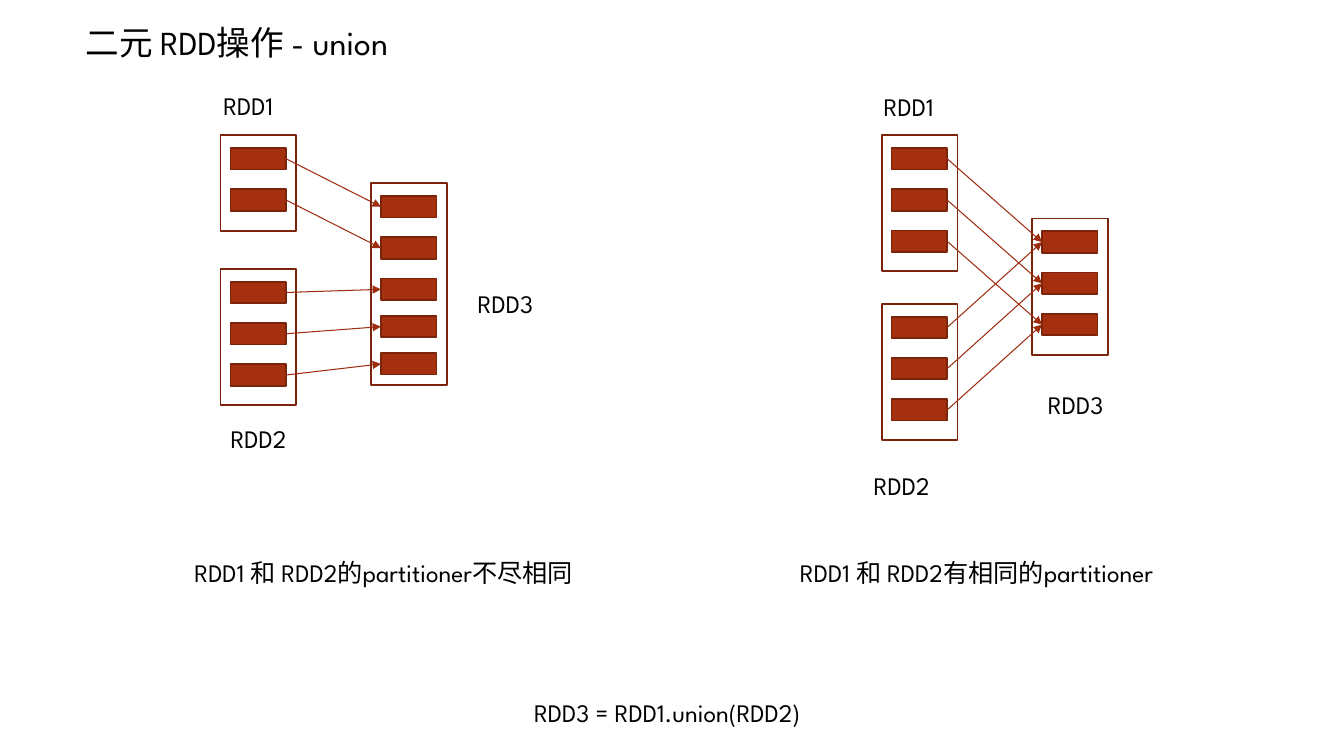
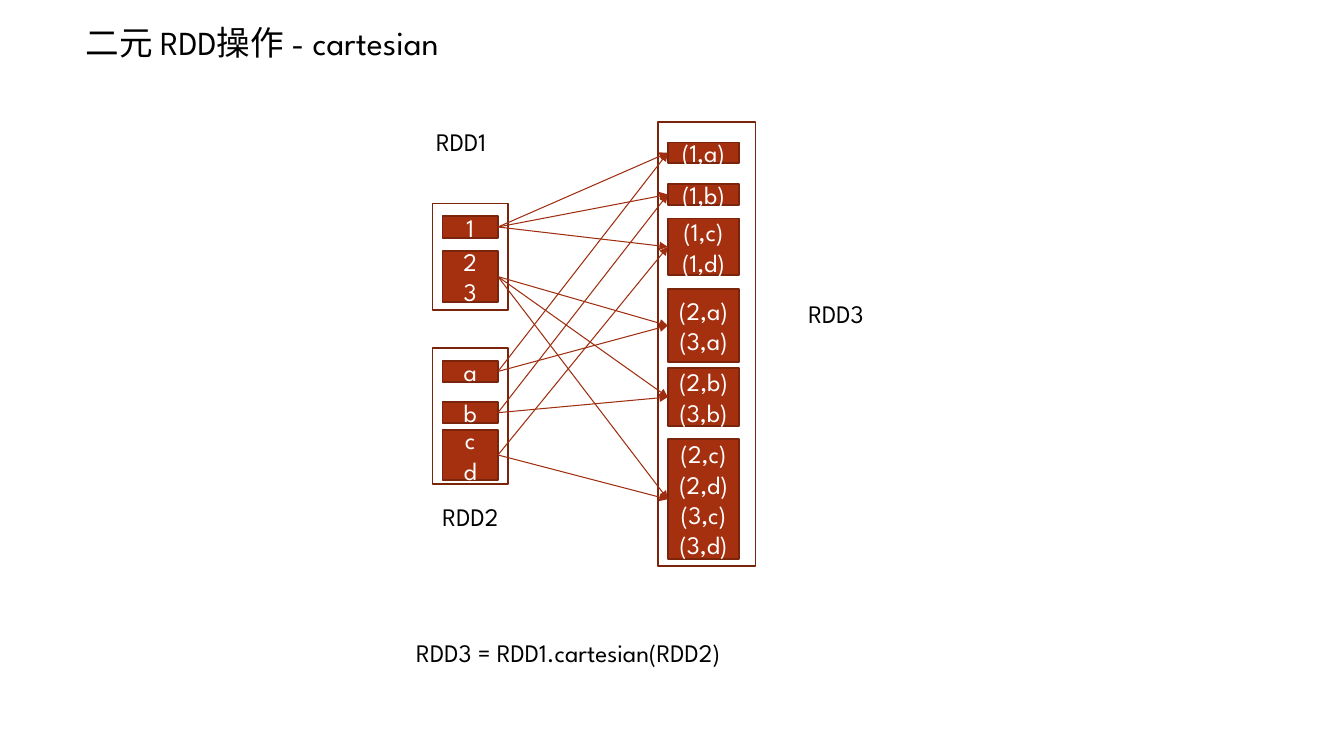
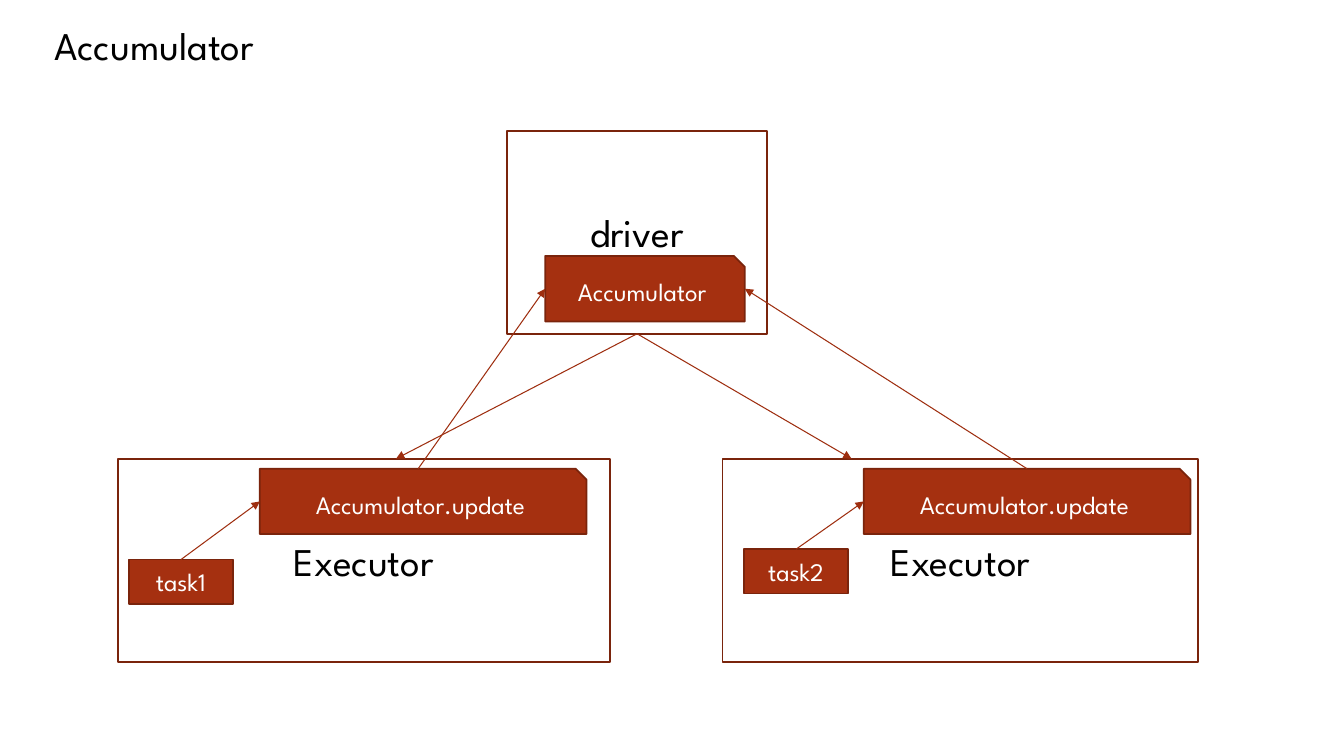
from dataclasses import dataclass

import lxml.etree
import pptx
import pptx.dml.color
import pptx.enum.shapes
import pptx.enum.text
import pptx.oxml.ns
import pptx.shapes.autoshape
import pptx.shapes.connector
import pptx.slide
import pptx.text.text
import pptx.util
from pptx.util import Cm

FONT = "League Spartan"
BLACK, WHITE = "000000", "FFFFFF"
RUST, EDGE, ARROW = "A53010", "7A240C", "9E2E0F"
RECTANGLE = pptx.enum.shapes.MSO_SHAPE.RECTANGLE
SNIPPED = pptx.enum.shapes.MSO_SHAPE.SNIP_1_RECTANGLE
LEFT_SITE, RIGHT_SITE = 1, 3
BLOCK_HEIGHT, BLOCK_PITCH, BLOCK_INSET, FIRST_BLOCK = 0.54, 1.04, 0.25, 0.32
TITLE_ONLY_LAYOUT = 5

Slide = pptx.slide.Slide
Shape = pptx.shapes.autoshape.Shape
Point = tuple[int, int]


@dataclass(frozen=True)
class Block:
    """One partition; offset runs from the top of its RDD frame, in cm."""
    offset: float
    height: float = BLOCK_HEIGHT
    lines: tuple[str, ...] = ()


@dataclass(frozen=True)
class Label:
    text: str
    left: float
    top: float
    width: float = 2.21


@dataclass(frozen=True)
class Rdd:
    left: float
    top: float
    height: float
    blocks: tuple[Block, ...]
    label: Label
    width: float = 1.91
    block_width: float = 1.4


@dataclass(frozen=True)
class Executor:
    left: float
    width: float
    update_left: float
    task: str
    task_left: float
    task_top: float
    broadcast_x: float
    report_x: float


def colour(value: str) -> pptx.dml.color.RGBColor:
    return pptx.dml.color.RGBColor.from_string(value)


def write_lines(frame: pptx.text.text.TextFrame, lines: tuple[str, ...], size: int,
                text_colour: str, centred: bool = False) -> None:
    alignment = pptx.enum.text.PP_ALIGN
    for index, line in enumerate(lines):
        paragraph = frame.add_paragraph() if index else frame.paragraphs[0]
        paragraph.alignment = alignment.CENTER if centred else alignment.LEFT
        run = paragraph.add_run()
        run.text = line
        run.font.name = FONT
        run.font.size = pptx.util.Pt(size)
        run.font.color.rgb = colour(text_colour)


def add_titled_slide(presentation, title: str, left: float = 1.9, top: float = 0.43,
                     width: float = 11.96, height: float = 1.27, size: int = 24) -> Slide:
    slide = presentation.slides.add_slide(presentation.slide_layouts[TITLE_ONLY_LAYOUT])
    shape = slide.shapes.title
    shape.left, shape.top, shape.width, shape.height = map(Cm, (left, top, width, height))
    shape.text_frame.vertical_anchor = pptx.enum.text.MSO_ANCHOR.TOP
    shape.text_frame.auto_size = pptx.enum.text.MSO_AUTO_SIZE.NONE
    write_lines(shape.text_frame, (title,), size, BLACK)
    return slide


def draw_label(slide: Slide, label: Label) -> None:
    box = slide.shapes.add_textbox(Cm(label.left), Cm(label.top), Cm(label.width), Cm(1.02))
    box.text_frame.word_wrap = False
    box.text_frame.auto_size = pptx.enum.text.MSO_AUTO_SIZE.SHAPE_TO_FIT_TEXT
    write_lines(box.text_frame, (label.text,), 18, BLACK)


def draw_box(slide: Slide, left: float, top: float, width: float, height: float,
             lines: tuple[str, ...] = (), filled: bool = True, outline=RECTANGLE) -> Shape:
    """Draw a rust block with small white text, or an open frame with large black text."""
    shape = slide.shapes.add_shape(outline, Cm(left), Cm(top), Cm(width), Cm(height))
    shape.shadow.inherit = False
    if filled:
        shape.fill.solid()
        shape.fill.fore_color.rgb = colour(RUST)
    else:
        shape.fill.background()
    shape.line.color.rgb = colour(EDGE)
    shape.line.width = pptx.util.Pt(1.25)
    shape.text_frame.vertical_anchor = pptx.enum.text.MSO_ANCHOR.MIDDLE
    write_lines(shape.text_frame, lines, 18 if filled else 28,
                WHITE if filled else BLACK, centred=True)
    return shape


def point_on(shape: Shape, across: float, down: float) -> Point:
    """Return the point at the given fractions of the shape's width and height."""
    return (int(shape.left + shape.width * across), int(shape.top + shape.height * down))


def draw_arrow(slide: Slide, start: Point, end: Point) -> pptx.shapes.connector.Connector:
    connector = slide.shapes.add_connector(
        pptx.enum.shapes.MSO_CONNECTOR.STRAIGHT, *start, *end)
    connector.line.color.rgb = colour(ARROW)
    connector.line.width = pptx.util.Pt(0.75)
    qualified = pptx.oxml.ns.qn
    line = connector.line._get_or_add_ln()
    lxml.etree.SubElement(line, qualified("a:tailEnd"), type="triangle")
    lxml.etree.SubElement(connector._element.spPr, qualified("a:effectLst"))
    return connector


def link_blocks(slide: Slide, source: Shape, target: Shape) -> None:
    connector = draw_arrow(slide, point_on(source, 1, 0.5), point_on(target, 0, 0.5))
    connector.begin_connect(source, RIGHT_SITE)
    connector.end_connect(target, LEFT_SITE)


def draw_rdd(slide: Slide, rdd: Rdd) -> list[Shape]:
    draw_box(slide, rdd.left, rdd.top, rdd.width, rdd.height, filled=False)
    draw_label(slide, rdd.label)
    return [draw_box(slide, rdd.left + BLOCK_INSET, rdd.top + block.offset,
                     rdd.block_width, block.height, block.lines)
            for block in rdd.blocks]


def draw_operation(slide: Slide, rdds: tuple[Rdd, Rdd, Rdd],
                   links: list[tuple[int, int]]) -> None:
    """Draw two sources and a result; links number the source blocks of both in one row."""
    first, second, results = (draw_rdd(slide, rdd) for rdd in rdds)
    sources = first + second
    for source, target in links:
        link_blocks(slide, sources[source], results[target])


def even_blocks(count: int) -> tuple[Block, ...]:
    return tuple(Block(FIRST_BLOCK + BLOCK_PITCH * index) for index in range(count))


def build_union(presentation) -> None:
    slide = add_titled_slide(presentation, "二元 RDD操作 - union")
    three = even_blocks(3)
    different = (
        Rdd(5.56, 3.41, 2.42, even_blocks(2), Label("RDD1", 5.38, 2.16)),
        Rdd(5.56, 6.78, 3.43, three, Label("RDD2", 5.56, 10.54)),
        Rdd(9.35, 4.62, 5.08, three + (Block(3.34), Block(4.28)),
            Label("RDD3", 11.79, 7.14)),
    )
    same = (
        Rdd(22.22, 3.41, 3.43, three, Label("RDD1", 22.02, 2.18)),
        Rdd(22.22, 7.66, 3.43, three, Label("RDD2", 21.77, 11.73)),
        Rdd(26.01, 5.51, 3.43, three, Label("RDD3", 26.16, 9.68)),
    )
    draw_operation(slide, different, [(index, index) for index in range(5)])
    draw_operation(slide, same, [(index, index % 3) for index in range(6)])
    for label in (
        Label("RDD1 和 RDD2的partitioner不尽相同", 4.65, 13.92, 11.28),
        Label("RDD1 和 RDD2有相同的partitioner", 19.91, 13.92, 10.64),
        Label("RDD3 = RDD1.union(RDD2)", 13.21, 17.45, 8.71),
    ):
        draw_label(slide, label)


def build_cartesian(presentation) -> None:
    slide = add_titled_slide(presentation, "二元 RDD操作 - cartesian")
    numbers, letters = (("1",), ("2", "3")), (("a",), ("b",), ("c", "d"))
    pairs = [tuple(f"({number},{letter})" for number in number_group for letter in letter_group)
             for number_group in numbers for letter_group in letters]
    pair_places = ((0.52, 0.52), (1.57, 0.52), (2.44, 1.42),
                   (4.22, 1.83), (6.2, 1.47), (8, 3.02))
    rdds = (
        Rdd(10.9, 5.13, 2.69,
            (Block(0.32, lines=numbers[0]), Block(1.19, 1.3, numbers[1])),
            Label("RDD1", 10.74, 3.07)),
        Rdd(10.9, 8.77, 3.43,
            (Block(0.32, lines=letters[0]), Block(1.36, lines=letters[1]),
             Block(2.06, 1.27, letters[2])),
            Label("RDD2", 10.9, 12.52)),
        Rdd(16.58, 3.07, 11.2,
            tuple(Block(*place, lines) for place, lines in zip(pair_places, pairs)),
            Label("RDD3", 20.12, 7.39), width=2.46, block_width=1.8),
    )
    links = [(source, target) for target in range(len(pairs))
             for source in (target // len(letters), len(numbers) + target % len(letters))]
    draw_operation(slide, rdds, links)
    draw_label(slide, Label("RDD3 = RDD1.cartesian(RDD2)", 10.24, 15.93, 9.88))


def build_accumulator(presentation) -> None:
    slide = add_titled_slide(presentation, "Accumulator", 1.12, 0.41, 6.86, 1.45, 28)
    executor_top, update_top = 11.56, 11.81
    executors = (
        Executor(2.97, 12.4, 6.55, "task1", 3.25, 14.1, 9.98, 10.54),
        Executor(18.21, 11.99, 21.77, "task2", 18.75, 13.84, 21.46, 25.88),
    )
    driver = draw_box(slide, 12.78, 3.3, 6.55, 5.11, ("driver",), filled=False)
    accumulator = draw_box(slide, 13.74, 6.45, 5.03, 1.65, ("Accumulator",), outline=SNIPPED)
    for side, executor in enumerate(executors):
        draw_box(slide, executor.left, executor_top, executor.width, 5.13,
                 ("Executor",), filled=False)
        draw_arrow(slide, point_on(driver, 0.5, 1),
                   (Cm(executor.broadcast_x), Cm(executor_top)))
        task = draw_box(slide, executor.task_left, executor.task_top, 2.62, 1.12,
                        (executor.task,))
        update = draw_box(slide, executor.update_left, update_top, 8.23, 1.65,
                          ("Accumulator.update",), outline=SNIPPED)
        draw_arrow(slide, (Cm(executor.report_x), Cm(update_top)),
                   point_on(accumulator, side, 0.5))
        draw_arrow(slide, point_on(task, 0.5, 0), point_on(update, 0, 0.5))


def main() -> None:
    presentation = pptx.Presentation()
    presentation.slide_width, presentation.slide_height = Cm(33.87), Cm(19.05)
    build_union(presentation)
    build_cartesian(presentation)
    build_accumulator(presentation)
    presentation.save("out.pptx")


if __name__ == "__main__":
    main()
